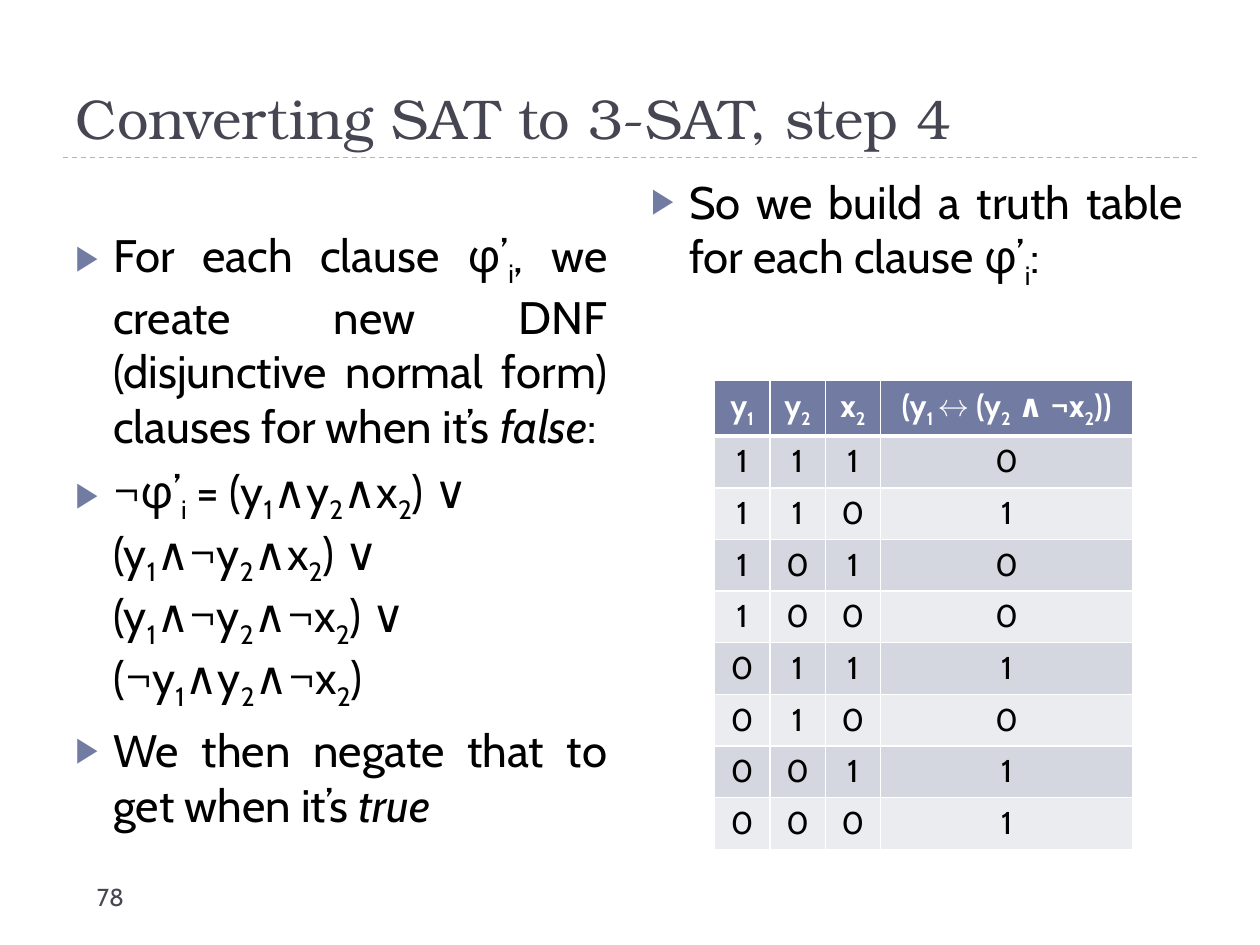
"""Build the slide on converting SAT to 3-SAT, step 4."""
from itertools import product

from lxml import etree
from pptx import Presentation
from pptx.dml.color import RGBColor
from pptx.enum import dml, text
from pptx.oxml import ns
from pptx.util import Inches, Pt

INK = RGBColor(0x46, 0x46, 0x53)
BLACK = RGBColor(0, 0, 0)
WHITE = RGBColor(0xFF, 0xFF, 0xFF)
ACCENT = RGBColor(0x72, 0x7C, 0xA3)
RULE = RGBColor(0x9F, 0xB8, 0xCD)
BANDS = RGBColor(0xD5, 0xD7, 0xE0), RGBColor(0xEB, 0xEC, 0xF0)
HEADING_FONT, BODY_FONT = "TeX Gyre Bonum", "Cabin"
JUSTIFY, CENTER = text.PP_ALIGN.JUSTIFY, text.PP_ALIGN.CENTER

CLAUSE_STEPS = [
    ("For each clause φ’|_i|, we create new DNF (disjunctive normal form) "
     "clauses for when it’s |/false|:", JUSTIFY),
    ("¬φ’|_i| = (y|_1|∧y|_2|∧x|_2|) ∨|\n|(y|_1|∧¬y|_2|∧x|_2|) ∨|\n|"
     "(y|_1|∧¬y|_2|∧¬x|_2|) ∨|\n|(¬y|_1|∧y|_2|∧¬x|_2|)", None),
    ("We then negate that to get when it’s |/true", JUSTIFY),
]
TABLE_STEPS = [("So we build a truth table for each clause φ’|_i|:", JUSTIFY)]
HEADERS = ["y|_1", "y|_2", "x|_2", "(y|_1 |↔ (y|_2| ∧ ¬x|_2|))"]


def sub(parent, tag, **attrs):
    """Append a DrawingML element with the given attributes."""
    return etree.SubElement(parent, ns.qn(tag), attrs)


def set_font(font, name, size, color, bold=None):
    """Set the typeface, size, colour and weight of a font."""
    font.name, font.size, font.bold = name, Pt(size), bold
    font.color.rgb = color


def add_marked_text(p, marked):
    """Add runs split at bars: _ is subscript, / is italic, newline breaks."""
    for part in marked.split("|"):
        if part == "\n":
            p.add_line_break()
            continue
        r = p.add_run()
        r.text = part.lstrip("_/")
        if part.startswith("_"):
            r.font._element.set("baseline", "-25000")
        elif part.startswith("/"):
            r.font.italic = True


def add_bullet(p):
    """Give a paragraph a hanging triangle bullet."""
    pPr = p._p.get_or_add_pPr()
    pPr.set("marL", str(Inches(0.3)))
    pPr.set("indent", str(-Inches(0.3)))
    sub(sub(pPr, "a:buClr"), "a:srgbClr", val=str(ACCENT))
    sub(pPr, "a:buSzPct", val="76000")
    sub(pPr, "a:buFont", typeface="Arial")
    sub(pPr, "a:buChar", char="▶")


def add_text_box(slide, left, top, width, height):
    """Add a wrapping text box and return its text frame."""
    tf = slide.shapes.add_textbox(
        Inches(left), Inches(top), Inches(width), Inches(height)).text_frame
    tf.word_wrap = True
    return tf


def add_bullets(slide, left, top, height, items):
    """Add a column of bulleted paragraphs."""
    tf = add_text_box(slide, left, top, 4.42, height)
    for i, (marked, align) in enumerate(items):
        p = tf.add_paragraph() if i else tf.paragraphs[0]
        p.space_before = Pt(6)
        p.alignment = align
        add_bullet(p)
        set_font(p.font, BODY_FONT, 26, BLACK)
        add_marked_text(p, marked)


def add_title(slide, title):
    """Place and format the title placeholder."""
    sp = slide.shapes.title
    sp.left, sp.top = Inches(0.5), Inches(0.25)
    sp.width, sp.height = Inches(9), Inches(1)
    tf = sp.text_frame
    tf.text = title
    tf.vertical_anchor = text.MSO_ANCHOR.BOTTOM
    p = tf.paragraphs[0]
    p.alignment = text.PP_ALIGN.LEFT
    set_font(p.font, HEADING_FONT, 32, INK)


def add_rule(slide):
    """Draw the dashed line below the title."""
    line = slide.shapes.add_connector(
        1, Inches(0.5), Inches(1.25), Inches(9.5), Inches(1.25))
    line.line.color.rgb = RULE
    line.line.width = Pt(0.75)
    line.line.dash_style = dml.MSO_LINE.DASH
    sub(line._element.spPr, "a:effectLst")


def add_page_number(slide, number):
    """Add the page number at the lower left."""
    p = add_text_box(slide, 0.67, 6.95, 2.17, 0.4).paragraphs[0]
    set_font(p.font, BODY_FONT, 14, INK)
    add_marked_text(p, number)


def format_cell(cell, marked, fill, color, header):
    """Fill a table cell with centred text and white borders."""
    tcPr = cell._tc.get_or_add_tcPr()
    for side in "LRTB":
        width = 3 if header and side == "B" else 1
        ln = sub(tcPr, "a:ln" + side, w=str(Pt(width)))
        sub(sub(ln, "a:solidFill"), "a:srgbClr", val=str(WHITE))
    cell.fill.solid()
    cell.fill.fore_color.rgb = fill
    p = cell.text_frame.paragraphs[0]
    p.alignment = CENTER
    set_font(p.font, BODY_FONT, 18, color, header)
    add_marked_text(p, marked)


def add_truth_table(slide):
    """Add the truth table, computing its last column."""
    rows = [HEADERS]
    for y1, y2, x2 in product((1, 0), repeat=3):
        value = int(y1 == (y2 and not x2))
        rows.append([str(v) for v in (y1, y2, x2, value)])
    table = slide.shapes.add_table(
        len(rows), len(HEADERS), Inches(5.67), Inches(3.02),
        Inches(3.32), Inches(0.41 * len(rows))).table
    for column, width in zip(table.columns, (0.44, 0.44, 0.44, 2)):
        column.width = Inches(width)
    for i, row in enumerate(rows):
        table.rows[i].height = Inches(0.41)
        fill, color = (BANDS[(i - 1) % 2], BLACK) if i else (ACCENT, WHITE)
        for j, marked in enumerate(row):
            format_cell(table.cell(i, j), marked, fill, color, i == 0)


def main():
    """Build and save the slide."""
    prs = Presentation()
    prs.slide_width, prs.slide_height = Inches(10), Inches(7.5)
    slide = prs.slides.add_slide(prs.slide_layouts[5])
    add_rule(slide)
    add_title(slide, "Converting SAT to 3-SAT, step 4")
    add_page_number(slide, "78")
    add_bullets(slide, 0.5, 1.75, 5.42, CLAUSE_STEPS)
    add_bullets(slide, 5.07, 1.33, 5.4, TABLE_STEPS)
    add_truth_table(slide)
    prs.save("out.pptx")


main()
